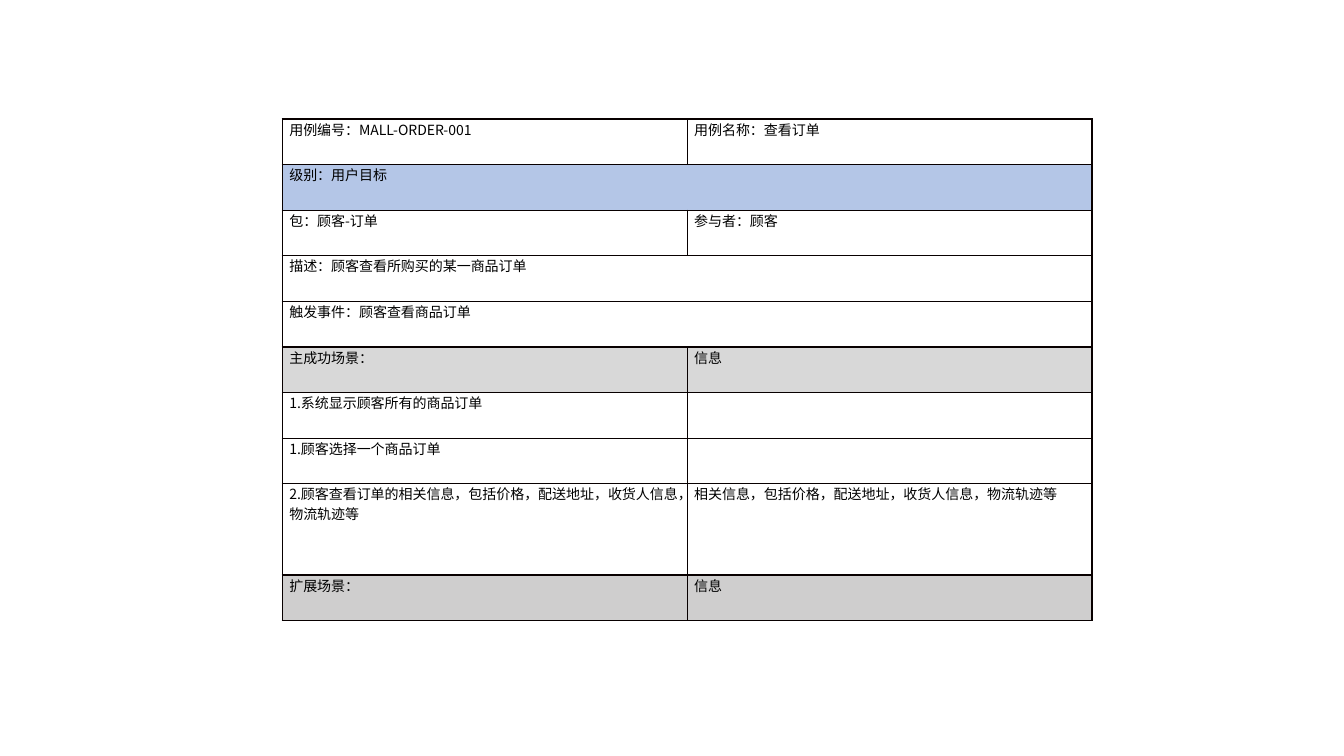
from dataclasses import dataclass

from lxml import etree
from pptx import Presentation
from pptx.dml.color import RGBColor
from pptx.enum.text import MSO_ANCHOR, PP_ALIGN
from pptx.oxml.ns import qn
from pptx.util import Inches, Pt

TOP = MSO_ANCHOR.TOP
LEFT = PP_ALIGN.LEFT
BLANK_LAYOUT = 6
GRID = 0.1  # inches per grid column and grid row


@dataclass(frozen=True)
class Theme:
    font: str = "Noto Sans CJK SC"
    text_size: float = 10
    text: str = "000000"
    border: str = "080000"
    border_width: float = 1
    level: str = "B4C6E7"
    scenario: str = "D8D8D8"
    extension: str = "CFCECE"


THEME = Theme()

# Each row: cell texts (a single text spans the table), fill, height in units
USE_CASE_ROWS = [
    (["用例编号：MALL-ORDER-001", "用例名称：查看订单"], None, 1),
    (["级别：用户目标"], THEME.level, 1),
    (["包：顾客-订单", "参与者：顾客"], None, 1),
    (["描述：顾客查看所购买的某一商品订单"], None, 1),
    (["触发事件：顾客查看商品订单"], None, 1),
    (["主成功场景：", "信息"], THEME.scenario, 1),
    (["1.系统显示顾客所有的商品订单", ""], None, 1),
    (["1.顾客选择一个商品订单", ""], None, 1),
    (["2.顾客查看订单的相关信息，包括价格，配送地址，收货人信息，物流轨迹等",
      "相关信息，包括价格，配送地址，收货人信息，物流轨迹等"], None, 2),
    (["扩展场景：", "信息"], THEME.extension, 1),
]


class SlideBuilder:
    def __init__(self, slide, theme):
        self.slide = slide
        self.theme = theme

    def grid(self, count):
        return Inches(count * GRID)

    def table(self, column, row, columns, rows, content, column_count=2):
        """Place a table on the grid, sharing its height by row units."""
        left, top, width, height = map(self.grid, (column, row, columns, rows))
        table = self.slide.shapes.add_table(
            len(content), column_count, left, top, width, height).table
        table.first_row = table.horz_banding = False
        for table_column in table.columns:
            table_column.width = width // column_count
        unit = height / sum(units for _, _, units in content)

        for index, (texts, fill, units) in enumerate(content):
            table.rows[index].height = int(unit * units)
            cells = [table.cell(index, number) for number in range(column_count)]
            if len(texts) == 1:
                cells[0].merge(cells[-1])
            for cell in cells:
                self.cell_style(cell, fill)
            for cell, text in zip(cells, texts):
                if text:
                    self.cell_text(cell, text)

    def cell_style(self, cell, fill):
        cell.margin_left = cell.margin_right = Inches(0.07)
        cell.margin_top = cell.margin_bottom = 0
        cell.vertical_anchor = TOP
        # Borders come before the fill in the cell properties
        properties = cell._tc.get_or_add_tcPr()
        for side in ("a:lnL", "a:lnR", "a:lnT", "a:lnB"):
            line = etree.SubElement(properties, qn(side),
                                    w=str(Pt(self.theme.border_width)))
            solid = etree.SubElement(line, qn("a:solidFill"))
            etree.SubElement(solid, qn("a:srgbClr"), val=self.theme.border)
        if fill:
            cell.fill.solid()
            cell.fill.fore_color.rgb = RGBColor.from_string(fill)
        else:
            cell.fill.background()

    def cell_text(self, cell, text):
        paragraph = cell.text_frame.paragraphs[0]
        paragraph.alignment = LEFT
        run = paragraph.add_run()
        run.text = text
        run.font.size = Pt(self.theme.text_size)
        run.font.color.rgb = RGBColor.from_string(self.theme.text)
        run.font.name = self.theme.font
        # East Asian text takes its own typeface
        etree.SubElement(run.font._element, qn("a:ea"), typeface=self.theme.font)


def main():
    presentation = Presentation()
    presentation.slide_width = Inches(13.33)
    presentation.slide_height = Inches(7.5)
    slide = presentation.slides.add_slide(presentation.slide_layouts[BLANK_LAYOUT])

    # Use case description
    builder = SlideBuilder(slide, THEME)
    builder.table(28, 11.8, 80.3, 49.8, USE_CASE_ROWS)

    presentation.save("out.pptx")


if __name__ == "__main__":
    main()
